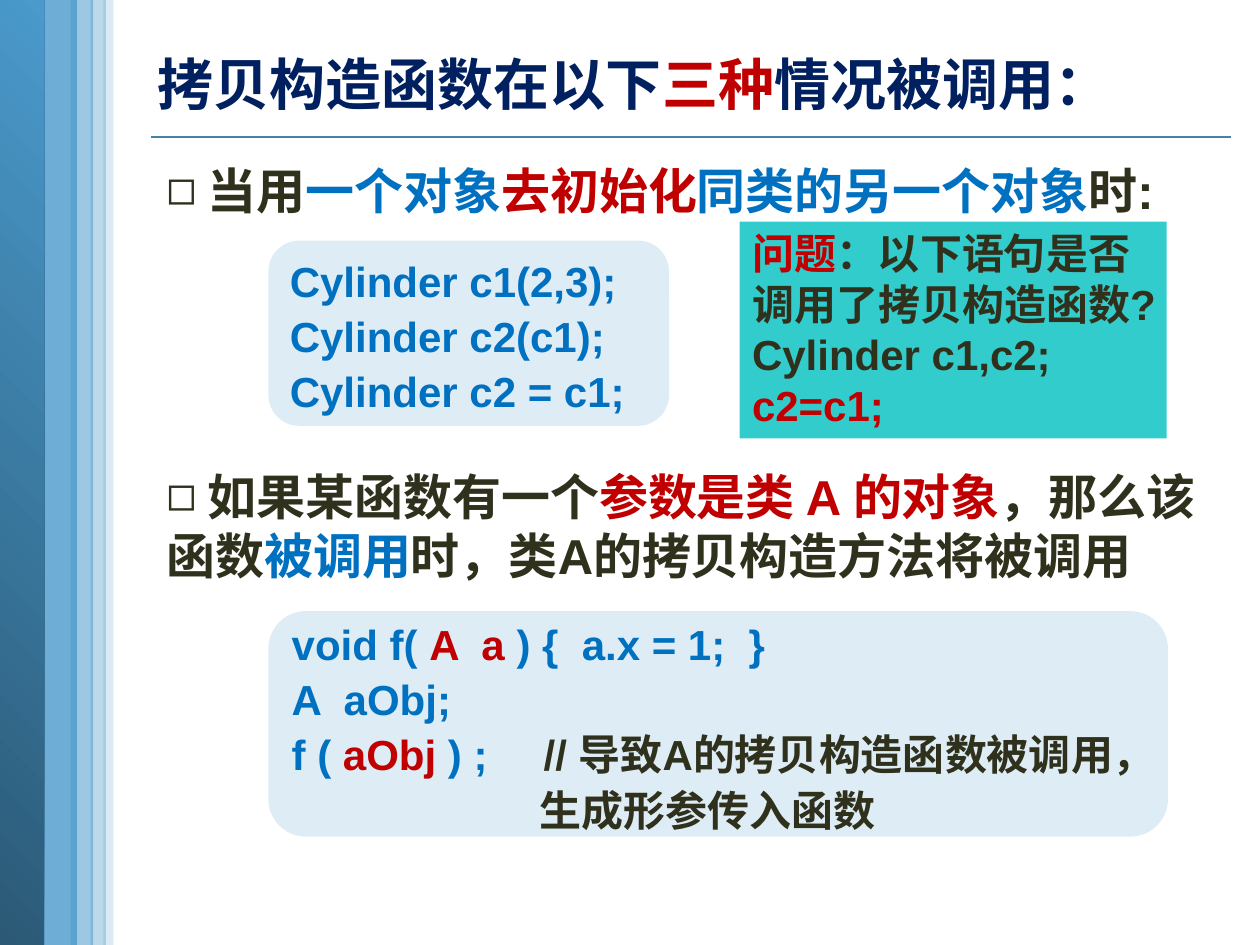
from lxml import etree
from pptx import Presentation
from pptx.dml.color import RGBColor
from pptx.enum.shapes import MSO_CONNECTOR, MSO_SHAPE
from pptx.enum.text import MSO_ANCHOR, MSO_AUTO_SIZE, PP_ALIGN
from pptx.oxml.ns import qn
from pptx.util import Inches, Pt

RECT, ROUND = MSO_SHAPE.RECTANGLE, MSO_SHAPE.ROUNDED_RECTANGLE
STRAIGHT = MSO_CONNECTOR.STRAIGHT
TOP, MIDDLE = MSO_ANCHOR.TOP, MSO_ANCHOR.MIDDLE
LEFT, FIXED = PP_ALIGN.LEFT, MSO_AUTO_SIZE.NONE
DARK, BLUE, RED, NAVY = "30311D", "0070C0", "C00000", "002060"
SKY, DEEP, PALE, TEAL, RULE = "4A9ACC", "2B5976", "92C2E0", "33CCCC", "4582A7"


def paint(color, code):
    color.rgb = RGBColor.from_string(code)


def place(shape, box):
    shape.left, shape.top, shape.width, shape.height = map(Inches, box)


def panel(slide, kind, box, code=None, alpha=100):
    shape = slide.shapes.add_shape(kind, *map(Inches, box))
    shape.shadow.inherit = False
    shape.line.fill.background()
    if code:
        shape.fill.solid()
        paint(shape.fill.fore_color, code)
        if alpha < 100:
            tint = shape.fill._xPr.find(qn("a:solidFill"))[0]
            etree.SubElement(tint, qn("a:alpha"), val=str(alpha * 1000))
    return shape


def write(shape, lines, size, anchor=TOP, wrap=True, space=1, bullet=None):
    frame = shape.text_frame
    frame.auto_size, frame.word_wrap = FIXED, wrap
    frame.vertical_anchor = anchor
    for i, line in enumerate(lines):
        para = frame.add_paragraph() if i else frame.paragraphs[0]
        para.alignment, para.line_spacing = LEFT, space
        para.space_before = Pt(0)
        if bullet:
            props = para._p.get_or_add_pPr()
            props.set("marL", "0")
            props.set("indent", "0")
            etree.SubElement(props, qn("a:buChar"), char=bullet)
        font = para.font
        font.name, font.size, font.bold = "Arial", Pt(size), True
        for text, code in line:
            run = para.add_run()
            run.text = text
            paint(run.font.color, code)
    return frame


def side(slide):
    bars = [(0.3, 0.31, 80), (0.82, 0.08, 20), (0.56, 0.18, 54), (0.72, 0.12, 37)]
    for left, width, alpha in bars:
        panel(slide, RECT, (left, 0, width, 7.5), SKY, alpha)
    edge = panel(slide, RECT, (-0.01, 0, 0.36, 7.5))
    edge.fill.gradient()
    edge.fill.gradient_angle = 45
    for stop, code, spot in zip(edge.fill.gradient_stops, (DEEP, SKY), (0, 1)):
        paint(stop.color, code)
        stop.position = spot


def head(slide, box, runs):
    title = slide.shapes.title
    place(title, box)
    write(title, [runs], 32, wrap=False)
    ends = map(Inches, (1.2, 1.09, 9.77, 1.09))
    rule = slide.shapes.add_connector(STRAIGHT, *ends)
    paint(rule.line.color, RULE)
    rule.line.width = Pt(1)
    etree.SubElement(rule._element.spPr, qn("a:effectLst"))


def point(holder, box, runs):
    place(holder, box)
    write(holder, [runs], 28, bullet="◻")


def code(slide, box, lines):
    card = panel(slide, ROUND, box, PALE, 30)
    return write(card, lines, 24, MIDDLE, False, 1.1)


def ask(slide, box, lines):
    write(panel(slide, RECT, box, TEAL), lines, 24)


def main():
    deck = Presentation()
    deck.slide_width, deck.slide_height = Inches(10), Inches(7.5)
    slide = deck.slides.add_slide(deck.slide_layouts[3])
    first, second = list(slide.placeholders)[1:3]
    side(slide)
    head(slide, (1.15, 0.34, 7.86, 0.64), [
        ("拷贝构造函数在以下", NAVY), ("三种", RED), ("情况被调用：", NAVY)])
    point(first, (1.22, 1.22, 8.47, 0.57), [
        (" 当用", DARK), ("一个对象", BLUE), ("去初始化", RED),
        ("同类的另一个对象", BLUE), ("时:", DARK)])
    point(second, (1.22, 3.65, 8.47, 1.04), [
        (" 如果某函数有一个", DARK), ("参数是类 A 的对象", RED),
        ("，那么该函数", DARK), ("被调用", BLUE),
        ("时，类A的拷贝构造方法将被调用", DARK)])
    code(slide, (2.13, 1.91, 3.18, 1.47), [
        [("Cylinder c1(2,3);", BLUE)],
        [("Cylinder c2(c1);", BLUE)],
        [("Cylinder c2 = c1;", BLUE)]])
    call = code(slide, (2.13, 4.85, 7.14, 1.79), [
        [("void f( ", BLUE), ("A  a ", RED), (") {  a.x = 1;  }", BLUE)],
        [("A  aObj;", BLUE)],
        [("f ( ", BLUE), ("aObj ", RED), (") ;\t", BLUE),
         ("// 导致A的拷贝构造函数被调用，", DARK)],
        [("生成形参传入函数", DARK)]])
    call.paragraphs[-1]._p.get_or_add_pPr().set("marL", str(Inches(1.97)))
    ask(slide, (5.87, 1.76, 3.39, 1.72), [
        [("问题", RED), ("：以下语句是否调用了拷贝构造函数?", DARK)],
        [("Cylinder c1,c2;", DARK)],
        [("c2=c1;", RED)]])
    deck.save("out.pptx")


if __name__ == "__main__":
    main()
